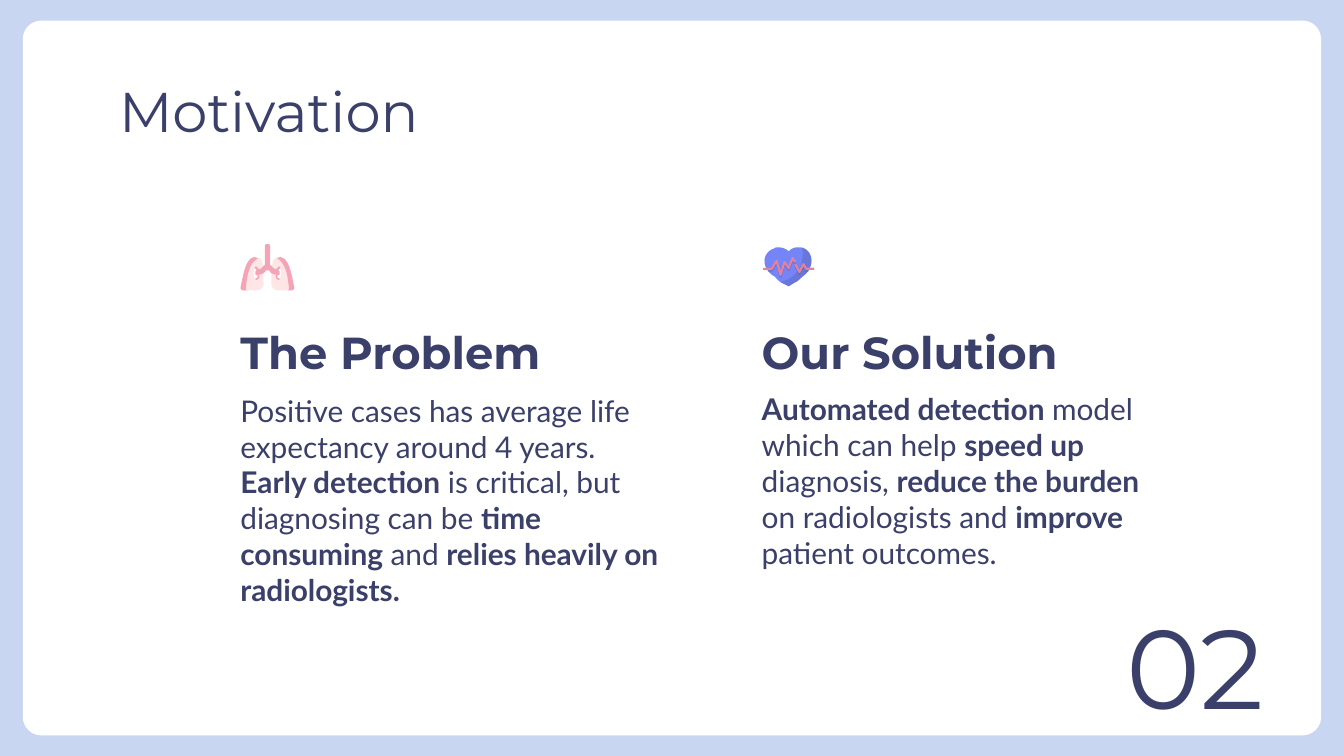
from lxml import etree
from pptx import Presentation
from pptx.dml.color import RGBColor
from pptx.enum.shapes import MSO_SHAPE
from pptx.enum.text import MSO_ANCHOR
from pptx.oxml.ns import qn
from pptx.util import Pt

ROUNDED = MSO_SHAPE.ROUNDED_RECTANGLE
TOP, MIDDLE, BOTTOM = MSO_ANCHOR.TOP, MSO_ANCHOR.MIDDLE, MSO_ANCHOR.BOTTOM

NAVY, PALE_BLUE, WHITE = "3B406B", "C9D6F2", "FFFFFF"
BLUSH, PINK, ROSE, PERIWINKLE = "FFE6E6", "F5A4B7", "E7809B", "7585F8"

TITLE = "Motivation"
NUMBER = "02"
COLUMNS = [
    {"left": 121.7, "heading": "The Problem", "body_box": (203, 241.2, 123),
     "body": [("Positive cases has average life expectancy around 4 years. ", False),
              ("Early detection", True),
              (" is critical, but diagnosing can be ", False),
              ("time consuming ", True),
              ("and ", False),
              ("relies heavily on radiologists.", True)]},
    {"left": 401, "heading": "Our Solution", "body_box": (202.3, 231.8, 103),
     "body": [("Automated detection ", True),
              ("model which can help ", False),
              ("speed up", True),
              (" diagnosis, ", False),
              ("reduce the burden", True),
              (" on radiologists and ", False),
              ("improve", True),
              (" patient outcomes.", False)]},
]

ICON_UNIT = 0.72
LUNGS_AT = (143.3, 130.4)
HEART_AT = (422.5, 132.5)

LUNG_RIM = [(18, 35), (19, 35, 20, 34, 20, 33), (18, 24, 17, 15, 12, 11),
            (11, 11, 10, 10, 9, 10)]
LOBE = [(9, 10), (7, 10, 4, 12, 4, 14), (3, 17), (5, 19, 7, 20, 9, 20), (9, 24),
        (7, 24, 5, 23, 3, 22), (3, 29), (2, 32, 5, 35, 8, 35)] + LUNG_RIM
LOBE_EDGE = [(9, 10), (9, 11, 8, 11, 7, 11), (14, 15, 15, 24, 16, 33),
             (16, 34, 16, 35, 15, 35)] + LUNG_RIM
LOBE_GAP = [(9, 19), (8, 19, 7, 20, 7, 22), (7, 24, 8, 26, 9, 26),
            (10, 26, 10, 24, 10, 22), (10, 20, 10, 19, 9, 19)]
HALF_AIRWAY = [(0, 0.5), (1, 0.5, 2, 1, 2, 2), (2, 14), (2, 15, 2, 15, 2, 16),
               (3, 17, 4, 18, 5, 19), (6, 19), (7, 19, 8, 18, 8, 17.5),
               (8, 17, 9.5, 17, 9.5, 18), (9, 19, 8, 20, 8, 20), (9, 21), (9, 23),
               (8, 24, 7, 24, 7, 24), (7, 24, 7, 26, 9, 26.3), (9, 27),
               (7, 27.5, 6, 26, 6, 23.2), (4, 23, 2, 22, 1.5, 20.3), (0, 20)]

HEART_SIDE = [(0, 29), (5, 26), (7, 25, 8, 24, 10, 22), (13, 20, 17, 16, 17, 10)]
HEART = [(7, 0), (4, 0, 2, 1, 0, 3), (-2, 1, -5, 0, -8, 0), (-9, 0, -10, 0, -11, 1),
         (-15, 2, -18, 6, -18, 10), (-18, 16, -14, 20, -10, 22),
         (-9, 24, -7, 25, -6, 26)] + HEART_SIDE + [(17, 5, 14, 1, 9, 0), (7, 0)]
HEART_SHADE = [(10, 0), (11, 6, 12, 21, -6, 26)] + HEART_SIDE + [(17, 5, 14, 1, 10, 0)]
LEFT_BEATS = [(-12.5, 16), (-9, 10), (-6, 20.5), (-3, 11), (0, 15.5), (3, 8), (5, 11)]
RIGHT_BEATS = [(5, 12.5), (8, 18.5), (11, 12.5), (13, 16)]


def color(value):
    return RGBColor.from_string(value)


def flatten(outline, steps=8):
    points = [outline[0]]
    for part in outline[1:]:
        if len(part) == 2:
            points.append(part)
            continue
        start, controls = points[-1], (part[:2], part[2:4], part[4:])
        for step in range(1, steps + 1):
            t = step / steps
            weights = ((1 - t) ** 3, 3 * t * (1 - t) ** 2, 3 * t * t * (1 - t), t ** 3)
            points.append(tuple(sum(w * p[axis] for w, p in zip(weights, (start, *controls)))
                                for axis in (0, 1)))
    return points


def mirror(points):
    return [(-x, y) for x, y in points]


def set_alpha(fill_parent, percent):
    for node in fill_parent.iter(qn("a:srgbClr")):
        etree.SubElement(node, qn("a:alpha")).set("val", str(percent * 1000))


def draw(group, origin, points, fill=None, stroke=None, alpha=None):
    places = [(Pt(origin[0] + x * ICON_UNIT), Pt(origin[1] + y * ICON_UNIT))
              for x, y in points]
    builder = group.shapes.build_freeform(*places[0])
    builder.add_line_segments(places[1:], close=fill is not None)
    shape = builder.convert_to_shape()
    shape.shadow.inherit = False
    if fill:
        shape.fill.solid()
        shape.fill.fore_color.rgb = color(fill)
        shape.line.fill.background()
    else:
        shape.fill.background()
        shape.line.color.rgb = color(stroke)
        shape.line.width = Pt(1.1)
    if alpha:
        set_alpha(shape.fill._xPr, alpha)


def draw_lungs(page):
    group = page.shapes.add_group_shape()
    for outline, fill in ((LOBE, BLUSH), (LOBE_EDGE, PINK), (LOBE_GAP, WHITE)):
        points = flatten(outline)
        for side in (points, mirror(points)):
            draw(group, LUNGS_AT, side, fill=fill)
    half = flatten(HALF_AIRWAY)
    draw(group, LUNGS_AT, half + mirror(half)[::-1], fill=PINK)


def draw_heart(page):
    group = page.shapes.add_group_shape()
    draw(group, HEART_AT, flatten(HEART), fill=PERIWINKLE)
    draw(group, HEART_AT, flatten(HEART_SHADE), fill=NAVY, alpha=20)
    for reach, drop, stroke, alpha in ((15, 1.5, NAVY, 20), (19, 0, ROSE, None)):
        for beats in ([(-reach, 16)] + LEFT_BEATS, RIGHT_BEATS + [(reach, 16)]):
            draw(group, HEART_AT, [(x, y + drop) for x, y in beats],
                 stroke=stroke, alpha=alpha)


def add_text(page, text, place, size, font="Montserrat", bold=False, anchor=TOP):
    box = page.shapes.add_textbox(*(Pt(length) for length in place))
    frame = box.text_frame
    frame.word_wrap = True
    frame.vertical_anchor = anchor
    frame.margin_left = frame.margin_right = Pt(7.2)
    frame.margin_top = frame.margin_bottom = Pt(7.2)
    spans = [(text, bold)] if isinstance(text, str) else text
    for words, strong in spans:
        span = frame.paragraphs[0].add_run()
        span.text = words
        span.font.name = font
        span.font.size = Pt(size)
        span.font.bold = strong
        span.font.color.rgb = color(NAVY)


def main():
    deck = Presentation()
    deck.slide_width, deck.slide_height = Pt(720), Pt(405)
    page = deck.slides.add_slide(deck.slide_layouts[6])
    page.background.fill.solid()
    page.background.fill.fore_color.rgb = color(PALE_BLUE)

    card = page.shapes.add_shape(ROUNDED, Pt(12.2), Pt(11), Pt(695.6), Pt(383))
    card.adjustments[0] = 0.026
    card.shadow.inherit = False
    card.fill.solid()
    card.fill.fore_color.rgb = color(WHITE)
    card.line.fill.background()

    add_text(page, TITLE, (56.7, 33.8, 607, 45.4), 30)
    for column in COLUMNS:
        left = column["left"]
        top, width, height = column["body_box"]
        add_text(page, column["heading"], (left, 181.4, 197.3, 28.8), 24,
                 bold=True, anchor=BOTTOM)
        add_text(page, column["body"], (left, top, width, height), 16, font="Lato")
    draw_lungs(page)
    draw_heart(page)
    add_text(page, NUMBER, (596.2, 334, 91.4, 44.6), 60, anchor=MIDDLE)
    deck.save("out.pptx")


if __name__ == "__main__":
    main()
